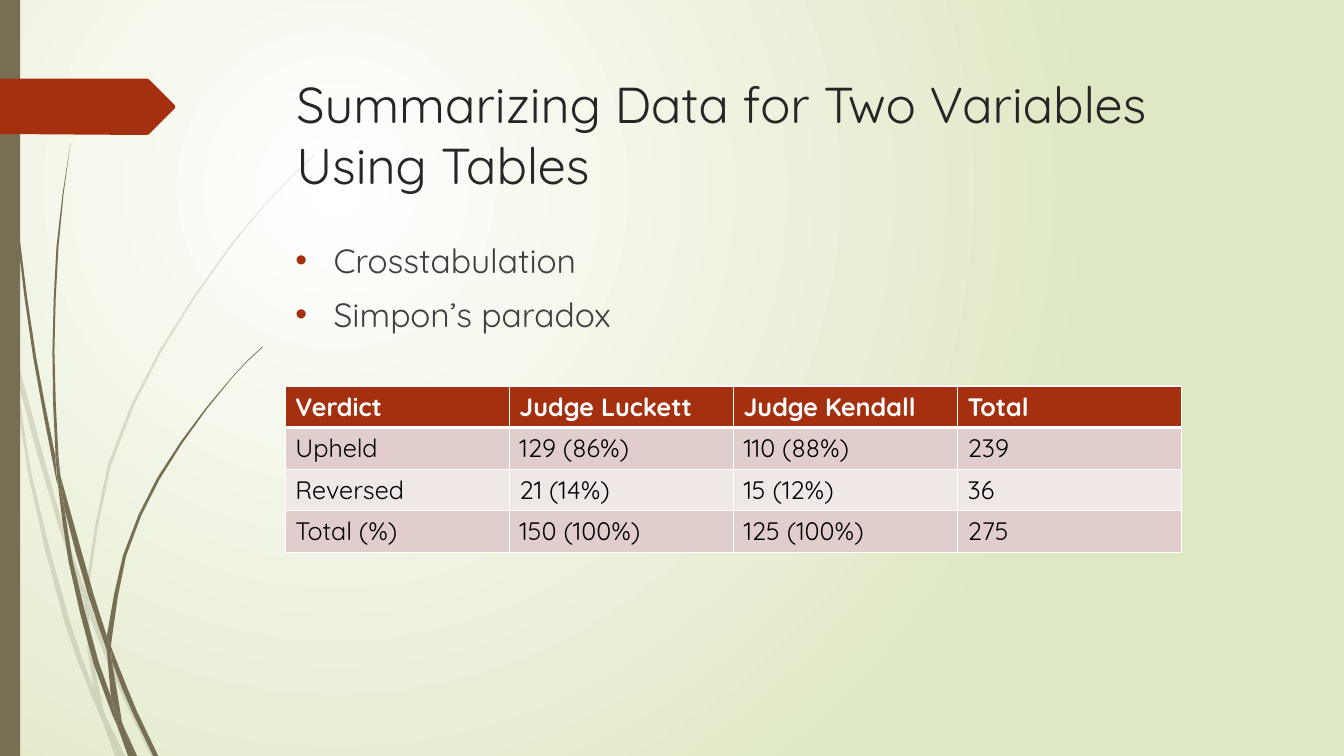
from lxml.etree import SubElement
from pptx import Presentation
from pptx.dml.color import RGBColor
from pptx.enum.shapes import MSO_SHAPE
from pptx.enum.text import MSO_ANCHOR
from pptx.oxml.ns import qn
from pptx.util import Inches, Pt

FONT = "Quicksand"
WHITE = RGBColor(0xFF, 0xFF, 0xFF)
BLACK = RGBColor(0x00, 0x00, 0x00)
PALE_GREEN = RGBColor(0xDF, 0xE8, 0xC4)
OLIVE = RGBColor(0x76, 0x6F, 0x54)
RUST = RGBColor(0xA5, 0x30, 0x10)
TITLE_GREY = RGBColor(0x26, 0x26, 0x26)
BODY_GREY = RGBColor(0x40, 0x40, 0x40)
ROSE = RGBColor(0xE1, 0xCD, 0xCC)
LIGHT_ROSE = RGBColor(0xF0, 0xE8, 0xE7)

LONG_SPAN = 0.7

# Each blade of grass is a pair of smooth edges: one way along, then back.
PALE_BLADES = [
    ([(0.11, 3.5), (0.09, 3.22), (0, 2.82)], [(0, 2.99), (0.1, 3.44), (0.11, 3.5)]),
    ([(0.14, 3.45), (0.17, 3.76), (0.58, 5.22), (0.84, 5.99)],
     [(0.85, 5.86), (0.62, 5.2), (0.14, 3.45)]),
    ([(0.88, 5.96), (0.88, 6.1), (1.23, 6.94), (1.5, 7.5)],
     [(1.55, 7.5), (1.27, 6.92), (0.92, 6.07), (0.88, 5.96)]),
    ([(1.19, 7.5), (1.24, 7.5)], [(1.05, 7.11), (1.19, 7.5)]),
    ([(0.93, 6.83), (0.7, 6.19), (0.31, 4.69), (0.17, 3.76), (0.11, 3.5)],
     [(0.11, 3.5), (0.28, 4.7), (0.65, 6.21), (0.92, 6.93), (1.01, 7.14), (0.99, 7.07)]),
    ([(0.84, 5.99), (0.87, 6.46), (0.93, 6.83), (0.96, 6.92), (1.05, 7.11)],
     [(1.03, 7.06), (0.91, 6.46), (0.88, 6.1), (0.88, 6.08), (0.84, 5.99)]),
    ([(0.88, 5.96), (0.88, 5.84), (1.1, 4.62), (1.6, 3.49), (2.29, 2.45), (2.68, 1.98),
      (2.9, 1.75), (3.12, 1.54)],
     [(3.12, 1.53), (2.89, 1.75), (2.68, 1.97), (2.28, 2.44), (1.58, 3.48),
      (1.07, 4.61), (0.85, 5.84), (0.85, 5.86)]),
    ([(1.01, 7.14), (1.14, 7.5)], [(1.19, 7.5), (1.01, 7.14)]),
    ([(0.88, 6.08), (0.88, 6.1), (0.88, 5.96)], [(0.85, 5.86), (0.84, 5.99), (0.88, 6.08)]),
    ([(0.93, 6.83), (0.99, 7.07), (1.01, 7.14), (1.19, 7.5)],
     [(1.19, 7.5), (1.05, 7.11), (0.96, 6.92), (0.93, 6.83)]),
]
DARK_BLADES = [
    ([(0.03, 0), (0.04, 0.48), (0.07, 1.1), (0.17, 2.33), (0.33, 3.55), (0.56, 4.77), (0.57, 4.81)],
     [(0.55, 4.57), (0.55, 4.53), (0.36, 3.55), (0.19, 2.32), (0.08, 1.09), (0.05, 0.48), (0.04, 0)]),
    ([(0.6, 4.72), (0.64, 5.05), (0.88, 5.92), (1.06, 6.45)],
     [(1.06, 6.33), (1.06, 6.31), (0.93, 5.9), (0.6, 4.72)]),
    ([(1.1, 6.41), (1.11, 6.56), (1.32, 7.08), (1.52, 7.5)],
     [(1.57, 7.5), (1.36, 7.06), (1.13, 6.49), (1.1, 6.41)]),
    ([(1.1, 6.91), (0.98, 6.57), (0.72, 5.56), (0.64, 5.05), (0.57, 4.77)],
     [(0.57, 4.77), (0.68, 5.57), (0.93, 6.59), (1.11, 7.08), (1.17, 7.22), (1.16, 7.17)]),
    ([(0.6, 4.72), (0.58, 4.53), (0.54, 3.49), (0.58, 2.45), (0.63, 1.93), (0.7, 1.41)],
     [(0.7, 1.41), (0.62, 1.93), (0.56, 2.45), (0.52, 3.49), (0.55, 4.49), (0.6, 4.72)]),
    ([(1.33, 7.5), (1.36, 7.5)], [(1.22, 7.19), (1.33, 7.5)]),
    ([(0.57, 4.77), (0.64, 5.05)], [(0.6, 4.72), (0.55, 4.49), (0.55, 4.53), (0.57, 4.77)]),
    ([(1.1, 6.41), (1.11, 6.33), (1.25, 5.52), (1.58, 4.76), (2.05, 4.06), (2.31, 3.74),
      (2.45, 3.59), (2.61, 3.44)],
     [(2.6, 3.44), (2.45, 3.58), (2.31, 3.73), (2.04, 4.05), (1.56, 4.74), (1.22, 5.51), (1.06, 6.31)]),
    ([(1.17, 7.22), (1.27, 7.5)], [(1.31, 7.5), (1.17, 7.22)]),
    ([(1.06, 6.45), (1.1, 6.91), (1.16, 7.06), (1.22, 7.19)],
     [(1.21, 7.16), (1.11, 6.56), (1.09, 6.51), (1.06, 6.45)]),
    ([(1.06, 6.45), (1.09, 6.51), (1.11, 6.56)], [(1.1, 6.41), (1.06, 6.31), (1.06, 6.33)]),
    ([(1.1, 6.91), (1.16, 7.17), (1.17, 7.22), (1.3, 7.5)],
     [(1.33, 7.5), (1.22, 7.19), (1.16, 7.06), (1.1, 6.91)]),
]
ARROW = [(0, 0.78), (1.46, 0.78), (1.48, 0.79), (1.73, 1.04), (1.74, 1.06),
         (1.73, 1.08), (1.48, 1.33), (1.46, 1.34), (0, 1.33)]

VERDICTS = [
    ("Verdict", "Judge Luckett", "Judge Kendall", "Total"),
    ("Upheld", "129 (86%)", "110 (88%)", "239"),
    ("Reversed", "21 (14%)", "15 (12%)", "36"),
    ("Total (%)", "150 (100%)", "125 (100%)", "275"),
]


def smooth_edge(anchors):
    """Return the anchors, with a point on the curve amid each long span."""
    lengths = [abs(b[0] - a[0]) + abs(b[1] - a[1]) for a, b in zip(anchors, anchors[1:])]
    slopes = []
    for i in range(len(anchors)):
        first, last = max(i - 1, 0), min(i + 1, len(anchors) - 1)
        span = sum(lengths[first:last])
        slopes.append([(b - a) / span for a, b in zip(anchors[first], anchors[last])])
    points = [anchors[0]]
    for i, length in enumerate(lengths):
        if length > LONG_SPAN:
            points.append(tuple(
                (a + b) / 2 + length * (m - n) / 8
                for a, b, m, n in zip(anchors[i], anchors[i + 1], slopes[i], slopes[i + 1])))
        points.append(anchors[i + 1])
    return points


def paint(shape, color, opacity=100):
    """Give a shape a plain fill without line or shadow."""
    shape.shadow.inherit = False
    shape.line.fill.background()
    shape.fill.solid()
    shape.fill.fore_color.rgb = color
    if opacity < 100:
        color_element = shape.fill._xPr.find(".//" + qn("a:srgbClr"))
        SubElement(color_element, qn("a:alpha"), val=str(opacity * 1000))


def add_outline(shapes, points, color, opacity=100):
    """Add a closed outline through points given in inches."""
    corners = [(Inches(x), Inches(y)) for x, y in dict.fromkeys(points)]
    builder = shapes.build_freeform(*corners[0], scale=1.0)
    builder.add_line_segments(corners[1:], close=True)
    paint(builder.convert_to_shape(), color, opacity)


def add_grass(slide, blades, opacity):
    """Add a group of curved blades of grass."""
    group = slide.shapes.add_group_shape()
    for outward, back in blades:
        add_outline(group.shapes, smooth_edge(outward) + smooth_edge(back), OLIVE, opacity)


def set_background(slide):
    """Fill the background with a round glow, white to pale green."""
    fill = slide.background.fill
    fill.gradient()
    for stop, color in zip(fill.gradient_stops, (WHITE, PALE_GREEN)):
        stop.color.rgb = color
    gradient = slide.element.find(".//" + qn("a:gradFill"))
    gradient.remove(gradient.find(qn("a:lin")))
    glow = SubElement(gradient, qn("a:path"), path="circle")
    SubElement(glow, qn("a:fillToRect"), l="50000", t="50000", r="100000", b="100000")


def add_run(paragraph, text, size, color, bold=False):
    """Add one run of text in the slide's font."""
    run = paragraph.add_run()
    run.text = text
    run.font.name, run.font.size, run.font.bold = FONT, Pt(size), bold
    run.font.color.rgb = color


def add_text(slide, left, top, width, height, lines, size, color, bullets=False):
    """Add a wrapping text box with one paragraph per line."""
    box = slide.shapes.add_textbox(Inches(left), Inches(top), Inches(width), Inches(height))
    frame = box.text_frame
    frame.word_wrap = True
    frame.vertical_anchor = MSO_ANCHOR.TOP
    for index, line in enumerate(lines):
        paragraph = frame.add_paragraph() if index else frame.paragraphs[0]
        if bullets:
            add_bullet(paragraph)
        add_run(paragraph, line, size, color)


def add_bullet(paragraph):
    """Give a paragraph a rust bullet and a hanging indent."""
    paragraph.space_before = Pt(10)
    properties = paragraph._p.get_or_add_pPr()
    properties.set("marL", str(Inches(0.38)))
    properties.set("indent", str(-Inches(0.38)))
    SubElement(SubElement(properties, qn("a:buClr")), qn("a:srgbClr"), val=str(RUST))
    SubElement(properties, qn("a:buFont"), typeface="Arial")
    SubElement(properties, qn("a:buChar"), char="\u2022")


def add_borders(cell, row):
    """Draw white borders, thick between the header and the first row."""
    properties = cell._tc.get_or_add_tcPr()
    widths = {"a:lnL": 1, "a:lnR": 1, "a:lnT": 3 if row == 1 else 1, "a:lnB": 3 if row == 0 else 1}
    for side, width in widths.items():
        line = SubElement(properties, qn(side), w=str(Pt(width)))
        SubElement(SubElement(line, qn("a:solidFill")), qn("a:srgbClr"), val=str(WHITE))


def add_verdict_table(slide, left, top, width, height):
    """Add the crosstabulation of verdicts by judge."""
    table = slide.shapes.add_table(len(VERDICTS), len(VERDICTS[0]), Inches(left), Inches(top),
                                   Inches(width), Inches(height)).table
    for row, texts in enumerate(VERDICTS):
        header = row == 0
        table.rows[row].height = Inches(1.65 / len(VERDICTS))
        for column, text in enumerate(texts):
            cell = table.cell(row, column)
            add_borders(cell, row)
            cell.fill.solid()
            cell.fill.fore_color.rgb = RUST if header else ROSE if row % 2 else LIGHT_ROSE
            add_run(cell.text_frame.paragraphs[0], text, 18, WHITE if header else BLACK, header)


def main():
    """Build the slide and save it."""
    presentation = Presentation()
    presentation.slide_width, presentation.slide_height = Inches(13.33), Inches(7.5)
    slide = presentation.slides.add_slide(presentation.slide_layouts[6])
    set_background(slide)
    add_grass(slide, PALE_BLADES, 20)
    add_grass(slide, DARK_BLADES, 100)
    paint(slide.shapes.add_shape(MSO_SHAPE.RECTANGLE, 0, 0, Inches(0.2), Inches(7.5)), OLIVE)
    add_outline(slide.shapes, ARROW, RUST)
    add_text(slide, 2.84, 0.68, 9.75, 1.4, ["Summarizing Data for Two Variables Using Tables"], 36, TITLE_GREY)
    add_text(slide, 2.83, 2.33, 9.75, 4.13, ["Crosstabulation", "Simpon\u2019s paradox"], 24, BODY_GREY, True)
    add_verdict_table(slide, 2.83, 3.83, 8.89, 1.62)
    presentation.save("out.pptx")


main()
